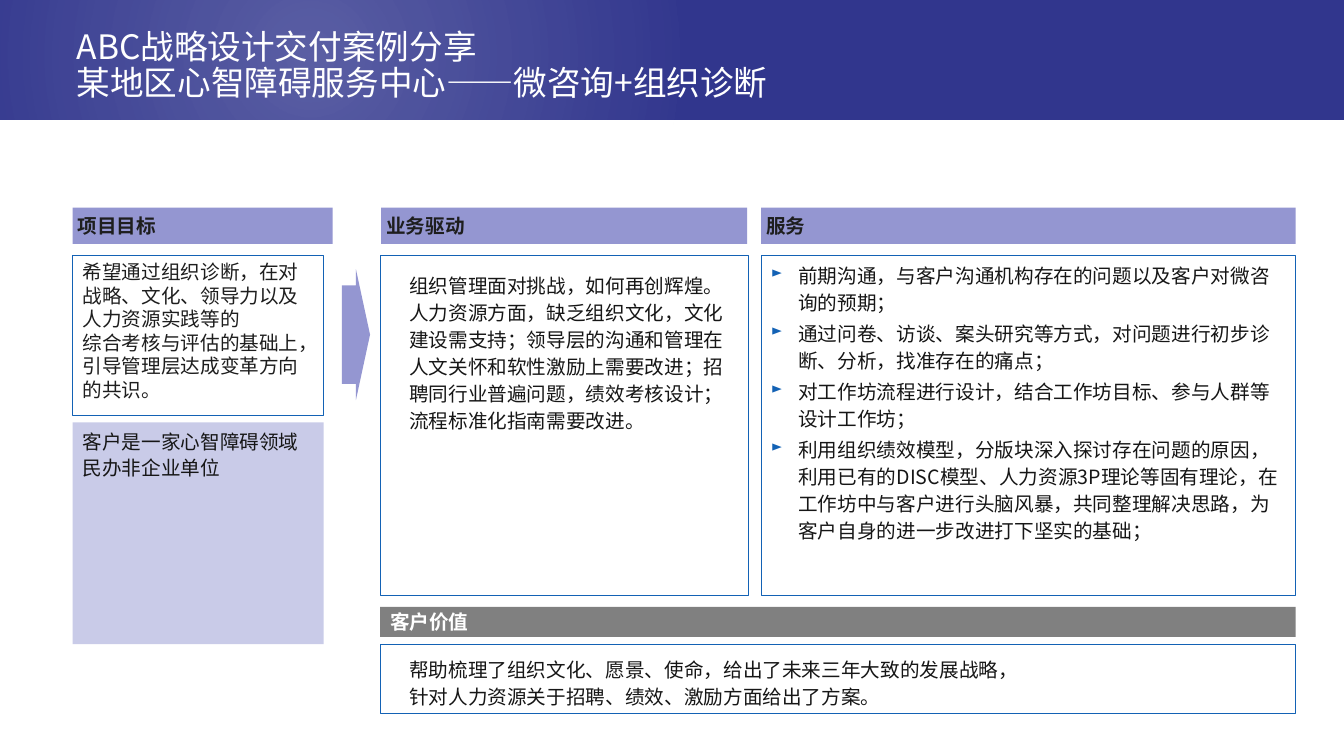
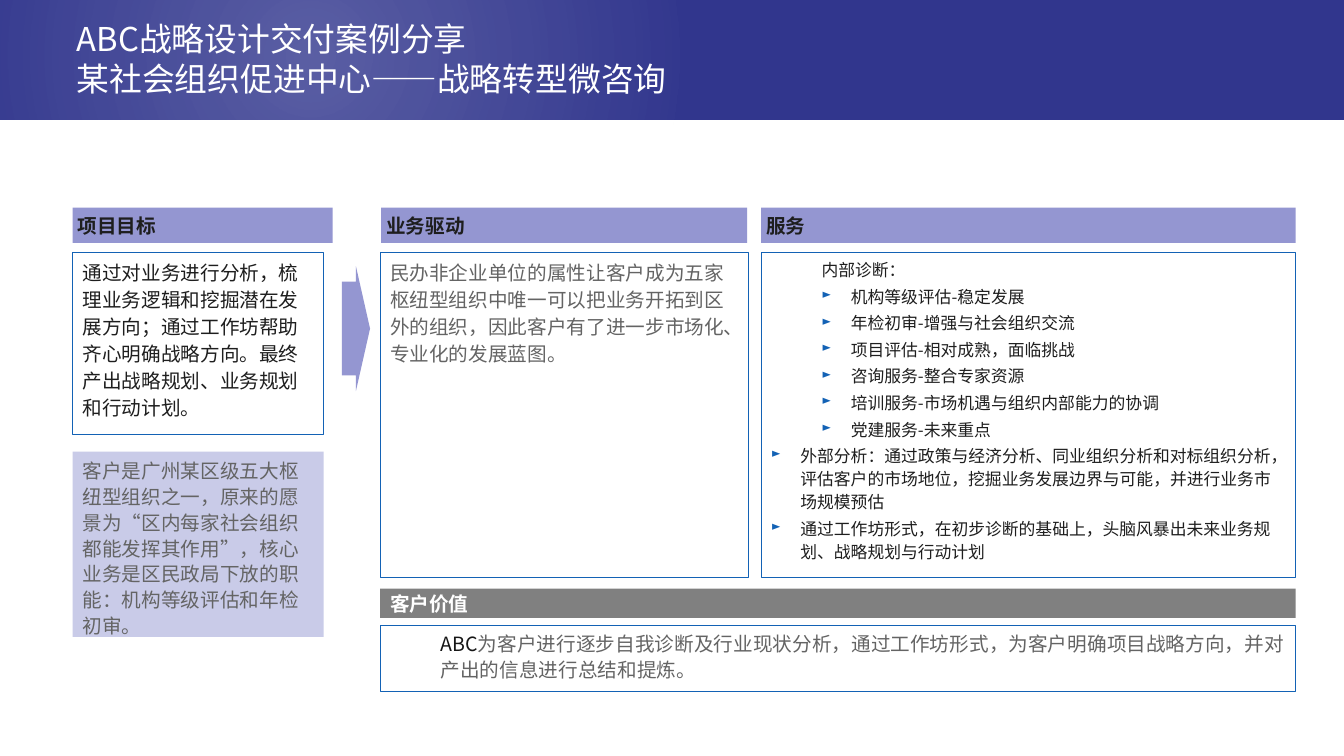
from dataclasses import dataclass
from typing import Optional

from lxml.etree import SubElement
from pptx import Presentation
from pptx.dml.color import RGBColor
from pptx.enum.shapes import MSO_SHAPE as Preset
from pptx.enum.text import MSO_ANCHOR as Anchor, PP_ALIGN as Align
from pptx.oxml import parse_xml
from pptx.oxml.ns import nsdecls, qn
from pptx.util import Inches, Pt

FONT = "Noto Sans CJK SC"
COLORS = {
    "band": "31368D", "heading": "9496D1", "client": "C9CBE8", "value": "808080",
    "outline": "1362B5", "ink": "1E1E1E", "body": "161616", "muted": "646464",
    "white": "FFFFFF",
}
GLOW = (
    f'<a:gradFill {nsdecls("a")} rotWithShape="1"><a:gsLst>'
    '<a:gs pos="0"><a:srgbClr val="FFFFFF"><a:alpha val="20000"/></a:srgbClr></a:gs>'
    '<a:gs pos="66000"><a:srgbClr val="FFFFFF"><a:alpha val="0"/></a:srgbClr></a:gs>'
    '</a:gsLst><a:path path="circle">'
    '<a:fillToRect l="50000" t="50000" r="50000" b="50000"/></a:path></a:gradFill>'
)

# Columns shared by both slides
GOAL_LEFT, GOAL_WIDTH = 0.72, 2.49
DRIVER_LEFT, DRIVER_WIDTH = 3.77, 3.65
SERVICE_LEFT, SERVICE_WIDTH = 7.55, 5.3
VALUE_WIDTH = SERVICE_LEFT + SERVICE_WIDTH - DRIVER_LEFT
HEADING_TOP = 2.06
HEADINGS = [("项目目标", GOAL_LEFT, 2.58), ("业务驱动", 3.78, 3.63),
            ("服务", SERVICE_LEFT, SERVICE_WIDTH)]


@dataclass
class Box:
    left: float
    top: float
    width: float
    height: float


@dataclass
class Para:
    text: str
    left: float = 0
    hang: float = 0  # a hanging paragraph gets a bullet
    lead: str = ""


@dataclass
class Passage:
    paras: list[Para]
    size: float = 14
    color: str = "body"
    spacing: float = 1.15
    before: float = 0.2  # share of the text size
    box: Optional[Box] = None  # separate text box, else inside its panel


@dataclass
class Case:
    title: str
    title_box: Box
    title_size: float
    title_spacing: float
    title_anchor: Anchor
    heading_height: float
    panel_top: float
    panel_height: float
    goal_height: float
    arrow_height: float
    client_top: float
    client_height: float
    bar_height: float
    value_height: float
    goal: Passage
    client: Passage
    driver: Passage
    service: Passage
    value: Passage


def rgb(name: str) -> RGBColor:
    return RGBColor.from_string(COLORS[name])


def add_block(slide, box: Box, fill: str = "", line: str = "", preset=Preset.RECTANGLE):
    block = slide.shapes.add_shape(preset, Inches(box.left), Inches(box.top),
                                   Inches(box.width), Inches(box.height))
    block.shadow.inherit = False
    if fill:
        block.fill.solid()
        block.fill.fore_color.rgb = rgb(fill)
    else:
        block.fill.background()
    if line:
        block.line.color.rgb = rgb(line)
        block.line.width = Pt(0.25)
    else:
        block.line.fill.background()
    return block


def add_textbox(slide, box: Box):
    return slide.shapes.add_textbox(Inches(box.left), Inches(box.top),
                                    Inches(box.width), Inches(box.height))


def set_indent(paragraph, left: float, hang: float) -> None:
    props = paragraph._p.get_or_add_pPr()
    props.set("marL", str(Inches(left)))
    props.set("indent", str(-Inches(hang)))
    if hang:
        color = SubElement(props, qn("a:buClr"))
        SubElement(color, qn("a:srgbClr"), val=COLORS["outline"])
        SubElement(props, qn("a:buSzPct"), val="75000")
        SubElement(props, qn("a:buChar"), char="►")


def write(shape, paras: list[Para], *, size: float = 14, color: str = "body",
          bold: bool = False, spacing: float = 1.0, before: float = 0,
          anchor=Anchor.TOP, inset: tuple[float, float] = (0.1, 0.05),
          wrap: bool = True) -> None:
    frame = shape.text_frame
    frame.word_wrap = wrap
    frame.vertical_anchor = anchor
    frame.margin_left = frame.margin_right = Inches(inset[0])
    frame.margin_top = frame.margin_bottom = Inches(inset[1])
    for index, para in enumerate(paras):
        paragraph = frame.add_paragraph() if index else frame.paragraphs[0]
        set_indent(paragraph, para.left, para.hang)
        paragraph.alignment = Align.LEFT
        paragraph.line_spacing = spacing
        paragraph.space_before = Pt(before * size if index else 0)
        pieces = [(para.lead, "body")] if para.lead else []
        for number, row in enumerate(para.text.split("\n")):
            pieces.append((("\n" if number else "") + row, color))
        for words, tint in pieces:
            if words.startswith("\n"):
                paragraph.add_line_break()
            run = paragraph.add_run()
            run.text = words.strip("\n")
            run.font.size = Pt(size)
            run.font.bold = bold
            run.font.name = FONT
            run.font.color.rgb = rgb(tint)
            SubElement(run._r.get_or_add_rPr(), qn("a:ea"), typeface=FONT)


def add_passage(slide, panel, passage: Passage) -> None:
    holder = add_textbox(slide, passage.box) if passage.box else panel
    write(holder, passage.paras, size=passage.size, color=passage.color,
          spacing=passage.spacing, before=passage.before)


def add_title_band(slide, case: Case) -> None:
    add_block(slide, Box(0, 0, 13.33, 1.19), "band")
    glow = add_block(slide, Box(-2.47, -0.17, 11.1, 1.44))
    props = glow._element.spPr
    props.replace(props.find(qn("a:noFill")), parse_xml(GLOW))
    write(add_textbox(slide, case.title_box), [Para(case.title)], size=case.title_size,
          color="white", spacing=case.title_spacing, anchor=case.title_anchor,
          inset=(0.04, 0.04))


def build_case(deck, case: Case) -> None:
    slide = deck.slides.add_slide(deck.slide_layouts[6])
    add_title_band(slide, case)

    # Column headings
    for heading, left, width in HEADINGS:
        bar = add_block(slide, Box(left, HEADING_TOP, width, case.heading_height), "heading")
        write(bar, [Para(heading)], color="ink", bold=True, anchor=Anchor.MIDDLE,
              inset=(0.05, 0.05))

    # Value bar and the panels
    top = case.panel_top
    bar_top = top + case.panel_height + 0.11
    value_top = bar_top + case.bar_height + 0.07
    value_bar = add_block(slide, Box(DRIVER_LEFT, bar_top, VALUE_WIDTH, case.bar_height), "value")
    write(value_bar, [Para("客户价值")], color="white", bold=True, anchor=Anchor.MIDDLE,
          wrap=False)
    panels = [
        (Box(GOAL_LEFT, top, GOAL_WIDTH, case.goal_height), case.goal),
        (Box(DRIVER_LEFT, top, DRIVER_WIDTH, case.panel_height), case.driver),
        (Box(SERVICE_LEFT, top, SERVICE_WIDTH, case.panel_height), case.service),
        (Box(DRIVER_LEFT, value_top, VALUE_WIDTH, case.value_height), case.value),
    ]
    for box, passage in panels:
        add_passage(slide, add_block(slide, box, line="outline"), passage)

    # Client profile and the arrow to the drivers
    client = add_block(
        slide, Box(GOAL_LEFT, case.client_top, GOAL_WIDTH, case.client_height), "client")
    add_passage(slide, client, case.client)
    arrow = add_block(slide, Box(3.39, top + 0.14, 0.28, case.arrow_height), "heading",
                      preset=Preset.RIGHT_ARROW)
    arrow.adjustments[0], arrow.adjustments[1] = 0.75, 0.5


def bullets(left: float, hang: float, *texts: str) -> list[Para]:
    return [Para(text, left, hang) for text in texts]


CASES = [
    Case(
        title="ABC战略设计交付案例分享\n某地区心智障碍服务中心——微咨询+组织诊断",
        title_box=Box(0.72, 0.26, 9.24, 0.8), title_size=24, title_spacing=0.9,
        title_anchor=Anchor.MIDDLE, heading_height=0.36,
        panel_top=2.53, panel_height=3.38, goal_height=1.59, arrow_height=1.3,
        client_top=4.19, client_height=2.2, bar_height=0.3, value_height=0.69,
        goal=Passage([
            Para("希望通过组织诊断，在对战略、文化、领导力以及人力资源实践等的"),
            Para("综合考核与评估的基础上，引导管理层达成变革方向的共识。"),
        ], color="ink", spacing=1, before=0),
        client=Passage([Para("客户是一家心智障碍领域民办非企业单位")], spacing=1.1),
        driver=Passage([Para(
            "组织管理面对挑战，如何再创辉煌。人力资源方面，缺乏组织文化，文化建设需支持；"
            "领导层的沟通和管理在人文关怀和软性激励上需要改进；招聘同行业普遍问题，"
            "绩效考核设计；流程标准化指南需要改进。")], box=Box(3.96, 2.63, 3.32, 1.98)),
        service=Passage(bullets(
            0.27, 0.27,
            "前期沟通，与客户沟通机构存在的问题以及客户对微咨询的预期；",
            "通过问卷、访谈、案头研究等方式，对问题进行初步诊断、分析，找准存在的痛点；",
            "对工作坊流程进行设计，结合工作坊目标、参与人群等设计工作坊；",
            "利用组织绩效模型，分版块深入探讨存在问题的原因，利用已有的DISC模型、"
            "人力资源3P理论等固有理论，在工作坊中与客户进行头脑风暴，共同整理解决思路，"
            "为客户自身的进一步改进打下坚实的基础；")),
        value=Passage([Para(
            "帮助梳理了组织文化、愿景、使命，给出了未来三年大致的发展战略，"
            "针对人力资源关于招聘、绩效、激励方面给出了方案。")],
            box=Box(3.96, 6.44, 6.4, 0.62)),
    ),
    Case(
        title="ABC战略设计交付案例分享\n某社会组织促进中心——战略转型微咨询",
        title_box=Box(0.72, 0.15, 10.01, 1.04), title_size=23.4, title_spacing=1,
        title_anchor=Anchor.TOP, heading_height=0.35,
        panel_top=2.5, panel_height=3.23, goal_height=1.81, arrow_height=1.24,
        client_top=4.48, client_height=1.84, bar_height=0.29, value_height=0.66,
        goal=Passage([Para(
            "通过对业务进行分析，梳理业务逻辑和挖掘潜在发展方向；通过工作坊帮助齐心"
            "明确战略方向。最终产出战略规划、业务规划和行动计划。")], color="ink"),
        client=Passage([Para(
            "客户是广州某区级五大枢纽型组织之一，原来的愿景为“区内每家社会组织都能发挥"
            "其作用”，核心业务是区民政局下放的职能：机构等级评估和年检初审。")],
            color="muted", spacing=1.1),
        driver=Passage([Para(
            "民办非企业单位的属性让客户成为五家枢纽型组织中唯一可以把业务开拓到区外的"
            "组织，因此客户有了进一步市场化、专业化的发展蓝图。")], color="muted"),
        service=Passage([
            Para("内部诊断：", left=0.5),
            *bullets(0.79, 0.29, "机构等级评估-稳定发展", "年检初审-增强与社会组织交流",
                     "项目评估-相对成熟，面临挑战", "咨询服务-整合专家资源",
                     "培训服务-市场机遇与组织内部能力的协调", "党建服务-未来重点"),
            *bullets(0.29, 0.29,
                     "外部分析：通过政策与经济分析、同业组织分析和对标组织分析，评估客户的"
                     "市场地位，挖掘业务发展边界与可能，并进行业务市场规模预估",
                     "通过工作坊形式，在初步诊断的基础上，头脑风暴出未来业务规划、战略规划"
                     "与行动计划"),
        ], size=12, color="ink"),
        value=Passage([Para(
            "为客户进行逐步自我诊断及行业现状分析，通过工作坊形式，为客户明确项目战略"
            "方向，并对产出的信息进行总结和提炼。", left=0.5, lead="ABC")],
            color="muted", spacing=1.1),
    ),
]


def main() -> None:
    deck = Presentation()
    deck.slide_width, deck.slide_height = Inches(13.33), Inches(7.5)
    for case in CASES:
        build_case(deck, case)
    deck.save("out.pptx")


if __name__ == "__main__":
    main()
